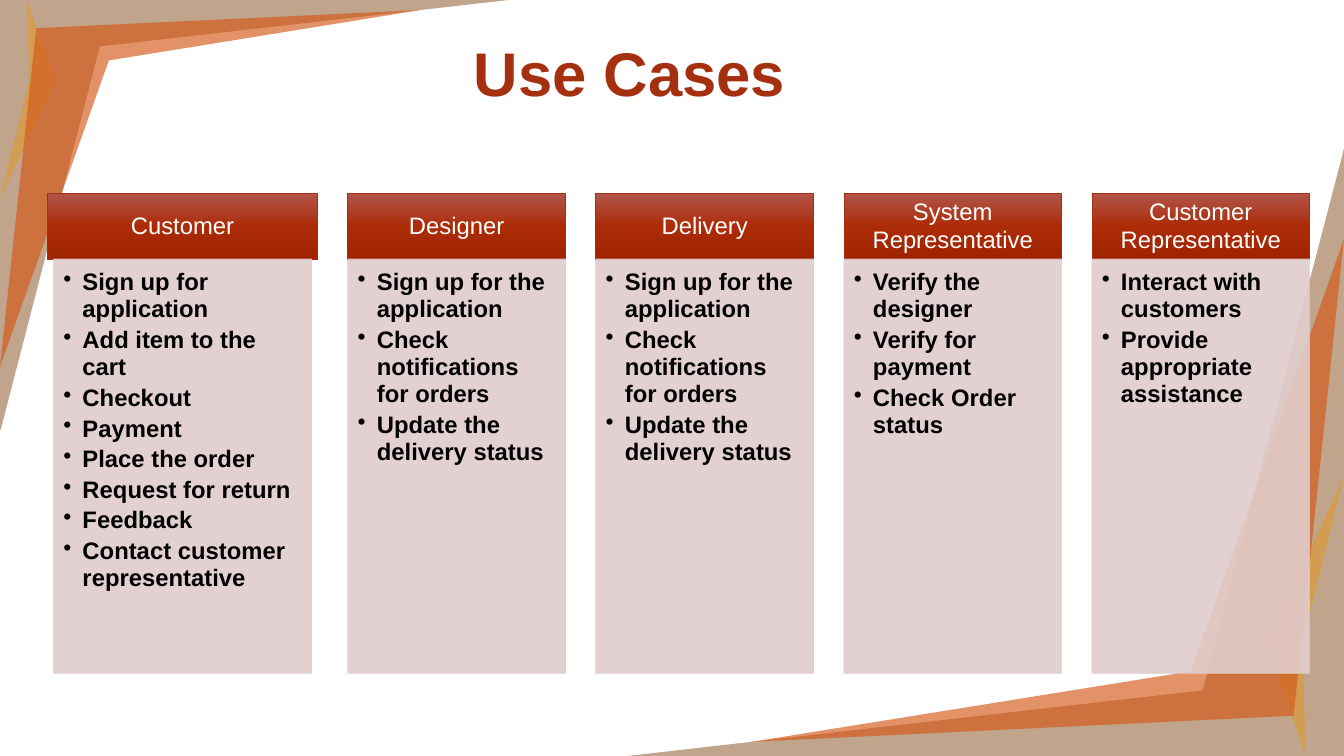
from copy import deepcopy

from lxml import etree
from pptx import Presentation, util as u
from pptx.dml.color import RGBColor
from pptx.enum import shapes, text
from pptx.oxml.ns import qn

PX = 9144
FONT = "Arial"
COLORS = {
    "rust": "A5300F", "tan": "B19C7D", "gold": "E19825", "orange": "D55816",
    "header_top": "B1554C", "header_mid": "AC2C08", "header_end": "A02300",
    "panel": "E1CDCC", "white": "FFFFFF", "black": "000000",
}
WEDGE = [(0, 602), (1, 598), (140, 65), (710, 0), (0, 0)]
SHARD = [(0, 277), (77, 114), (38, 0), (41, 112)]
RIBBON = [(0, 513), (50, 40), (588, 14), (152, 84)]
CORNER = [(WEDGE, "rust", 34), (WEDGE, "tan", 68),
          (SHARD, "gold", 55), (RIBBON, "orange", 65)]
ROLES = [
    ("Customer", ["Sign up for application", "Add item to the cart", "Checkout",
                  "Payment", "Place the order", "Request for return", "Feedback",
                  "Contact customer representative"]),
    ("Designer", ["Sign up for the application", "Check notifications for orders",
                  "Update the delivery status"]),
    ("Delivery", ["Sign up for the application", "Check notifications for orders",
                  "Update the delivery status"]),
    ("System Representative", ["Verify the designer", "Verify for payment",
                               "Check Order status"]),
    ("Customer Representative", ["Interact with customers",
                                 "Provide appropriate assistance"]),
]


def color(name):
    return RGBColor.from_string(COLORS[name])


def set_opacity(shape, percent):
    for tint in shape.element.spPr.iter(qn("a:srgbClr")):
        etree.SubElement(tint, qn("a:alpha")).set("val", str(percent * 1000))


def set_font(paragraph, size, tint, bold=False):
    paragraph.font.name = FONT
    paragraph.font.size = u.Pt(size)
    paragraph.font.bold = bold
    paragraph.font.color.rgb = color(tint)


def set_frame(frame, margins, anchor):
    frame.word_wrap = True
    frame.vertical_anchor = anchor
    (frame.margin_left, frame.margin_top,
     frame.margin_right, frame.margin_bottom) = [m * PX for m in margins]


def add_box(slide, left, top, width, height, outline):
    box = slide.shapes.add_shape(shapes.MSO_SHAPE.RECTANGLE, left * PX, top * PX,
                                 width * PX, height * PX)
    box.shadow.inherit = False
    box.line.color.rgb = color(outline)
    box.line.width = u.Pt(0.5)
    return box


def add_corner(slide, x, y, factor):
    for outline, tint, opacity in CORNER:
        points = [(x + dx * factor, y + dy * factor) for dx, dy in outline]
        builder = slide.shapes.build_freeform(*points[0], scale=PX)
        builder.add_line_segments(points[1:], close=True)
        facet = builder.convert_to_shape()
        facet.shadow.inherit = False
        facet.line.fill.background()
        facet.fill.solid()
        facet.fill.fore_color.rgb = color(tint)
        set_opacity(facet, opacity)


def add_title(slide, left, top, width, height):
    title = slide.shapes.add_textbox(left * PX, top * PX, width * PX, height * PX)
    set_frame(title.text_frame, (10, 5, 10, 5), text.MSO_ANCHOR.TOP)
    heading = title.text_frame.paragraphs[0]
    heading.text = "Use Cases"
    heading.line_spacing = 0.9
    set_font(heading, 44, "rust", bold=True)


def add_role_header(slide, role, left, top, width, height):
    header = add_box(slide, left, top, width, height, "rust")
    header.fill.gradient()
    header.fill.gradient_angle = 270
    stops = header.element.spPr.find(qn("a:gradFill")).find(qn("a:gsLst"))
    stops.append(deepcopy(stops[-1]))
    shades = ("header_top", "header_mid", "header_end")
    for i, (stop, shade) in enumerate(zip(header.fill.gradient_stops, shades)):
        stop.position = i / 2
        stop.color.rgb = color(shade)
    set_frame(header.text_frame, (13, 8, 13, 8), text.MSO_ANCHOR.MIDDLE)
    label = header.text_frame.paragraphs[0]
    label.text = role
    label.alignment = text.PP_ALIGN.CENTER
    label.line_spacing = 0.95
    set_font(label, 17, "white")


def add_task_panel(slide, tasks, left, top, width, height):
    panel = add_box(slide, left, top, width, height, "panel")
    panel.fill.solid()
    panel.fill.fore_color.rgb = color("panel")
    set_opacity(panel, 90)
    frame = panel.text_frame
    set_frame(frame, (10, 10, 13, 15), text.MSO_ANCHOR.TOP)
    for i, task in enumerate(tasks):
        item = frame.add_paragraph() if i else frame.paragraphs[0]
        item.text = task
        item.alignment = text.PP_ALIGN.LEFT
        item.line_spacing = 0.95
        item.space_after = u.Pt(2.5)
        props = item._p.get_or_add_pPr()
        props.set("marL", str(19 * PX))
        props.set("indent", str(-19 * PX))
        etree.SubElement(props, qn("a:buChar")).set("char", "•")
        set_font(item, 17, "black", bold=True)


def add_roles(slide, left, top, first_width, width, gap):
    header_height, panel_height = 65, 411
    for i, (role, tasks) in enumerate(ROLES):
        column_width, inset = (width, 0) if i else (first_width, 6)
        add_role_header(slide, role, left, top, column_width, header_height)
        add_task_panel(slide, tasks, left + inset, top + header_height,
                       column_width - 2 * inset, panel_height)
        left += column_width + gap


def main():
    prs = Presentation()
    prs.slide_width, prs.slide_height = 1333 * PX, 750 * PX
    slide = prs.slides.add_slide(prs.slide_layouts[6])
    add_corner(slide, 0, 0, 0.71)
    add_title(slide, 460, 38, 570, 55)
    add_corner(slide, 1333, 750, -1)
    add_roles(slide, 47, 192, first_width=268, width=216, gap=30)
    prs.save("out.pptx")


if __name__ == "__main__":
    main()
